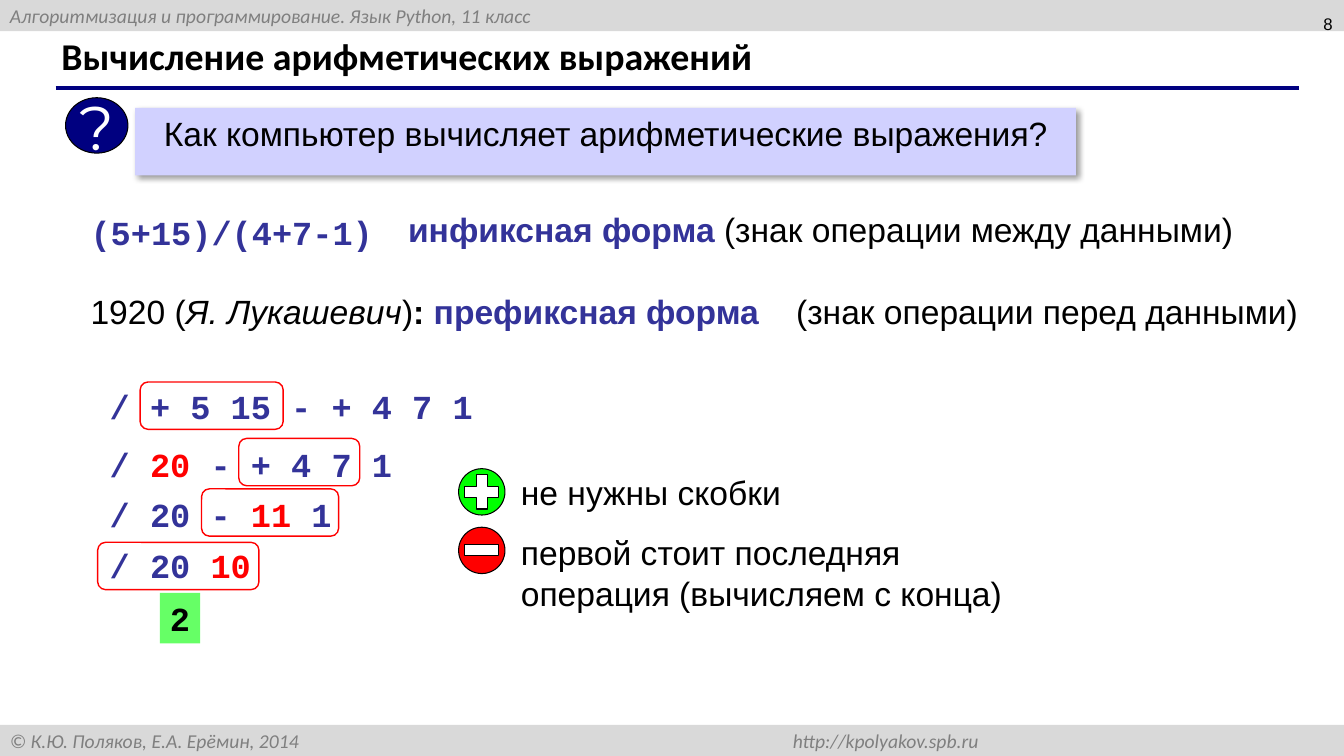
from lxml import etree
from pptx import Presentation
from pptx.dml.color import RGBColor
from pptx.enum.shapes import MSO_CONNECTOR, MSO_SHAPE as SHAPE
from pptx.enum.text import MSO_ANCHOR as ANCHOR, MSO_AUTO_SIZE, PP_ALIGN as ALIGN
from pptx.oxml import parse_xml
from pptx.oxml.ns import nsdecls, qn
from pptx.util import Pt

WIDTH, HEIGHT = 960, 540
COLORS = {
    "bar": "D9D9D9", "bar_text": "7F7F7F", "navy": "000080", "indigo": "333399",
    "lilac": "D1D1FF", "red": "FF0000", "green": "00FF00", "result": "66FF66",
    "black": "000000", "white": "FFFFFF",
}


def rgb(name):
    return RGBColor.from_string(COLORS[name])


def write(shape, runs, font="Arial", size=24, color="black", bold=False, italic=False,
          align=ALIGN.LEFT, anchor=ANCHOR.TOP, wrap=True, tab=None):
    """Fill a shape with one paragraph; runs are (text, {font overrides})."""
    frame = shape.text_frame
    frame.word_wrap = wrap
    frame.auto_size = MSO_AUTO_SIZE.NONE
    frame.vertical_anchor = anchor
    paragraph = frame.paragraphs[0]
    paragraph.alignment = align
    base = paragraph.font
    base.name, base.size, base.bold, base.italic = font, Pt(size), bold, italic
    base.color.rgb = rgb(color)
    if isinstance(runs, str):
        runs = [(runs, {})]
    for text, style in runs:
        run = paragraph.add_run()
        run.text = text
        if "color" in style:
            run.font.color.rgb = rgb(style["color"])
        if "bold" in style:
            run.font.bold = style["bold"]
        if "italic" in style:
            run.font.italic = style["italic"]
    if tab:
        position, side = tab
        stops = parse_xml(f'<a:tabLst {nsdecls("a")}>'
                          f'<a:tab pos="{Pt(position)}" algn="{side}"/></a:tabLst>')
        paragraph.font._element.addprevious(stops)
    return paragraph


def add_text(slide, left, top, width, height, runs, **style):
    box = slide.shapes.add_textbox(Pt(left), Pt(top), Pt(width), Pt(height))
    return write(box, runs, **style)


def add_figure(slide, kind, left, top, width, height, fill=None, line=None, weight=0.75):
    figure = slide.shapes.add_shape(kind, Pt(left), Pt(top), Pt(width), Pt(height))
    figure.shadow.inherit = False
    if fill:
        figure.fill.solid()
        figure.fill.fore_color.rgb = rgb(fill)
    else:
        figure.fill.background()
    if line:
        figure.line.color.rgb = rgb(line)
        figure.line.width = Pt(weight)
    else:
        figure.line.fill.background()
    return figure


def add_bars(slide):
    bar_height = 22.2
    bars = (
        (0, "Алгоритмизация и программирование. Язык Python, 11 класс"),
        (HEIGHT - bar_height, "© К.Ю. Поляков, Е.А. Ерёмин, 2014\thttp://kpolyakov.spb.ru"),
    )
    for top, caption in bars:
        bar = add_figure(slide, SHAPE.RECTANGLE, 0, top, WIDTH, bar_height, "bar")
        write(bar, caption, font="Calibri", size=14, color="bar_text", italic=True,
              anchor=ANCHOR.MIDDLE, tab=(692, "r"))


def add_heading(slide, left, top, width, height):
    title = slide.shapes.title
    title.left, title.top, title.width, title.height = map(Pt, (left, top, width, height))
    heading = write(title, "Вычисление арифметических выражений", font="Calibri", size=27,
                    bold=True, anchor=ANCHOR.MIDDLE)
    heading.line_spacing = 0.9
    # Rule under the title
    rule_top = top + height + 2.2
    rule = slide.shapes.add_connector(MSO_CONNECTOR.STRAIGHT, Pt(left + 3), Pt(rule_top),
                                      Pt(928), Pt(rule_top))
    rule.line.color.rgb = rgb("navy")
    rule.line.width = Pt(3)
    etree.SubElement(rule._element.spPr, qn("a:effectLst"))
    # Page number
    add_text(slide, 735, -1.5, 224, 37.5, "8", size=12, align=ALIGN.RIGHT,
             anchor=ANCHOR.MIDDLE)


def add_question(slide, left, top):
    panel = add_figure(slide, SHAPE.RECTANGLE, left + 49.7, top + 7.2, 672, 48.4, "lilac")
    panel.text_frame.margin_left = Pt(20.5)
    write(panel, "Как компьютер вычисляет арифметические выражения?")
    effects = panel._element.spPr.find(qn("a:effectLst"))
    effects.append(parse_xml(
        f'<a:outerShdw {nsdecls("a")} blurRad="{Pt(4)}" dist="{Pt(3)}" dir="2700000" '
        'algn="tl" rotWithShape="0"><a:srgbClr val="000000"><a:alpha val="40000"/>'
        '</a:srgbClr></a:outerShdw>'))
    badge = add_figure(slide, SHAPE.OVAL, left, top, 44.6, 39.6, "navy", "black")
    write(badge, "?", font="Montserrat", size=44, color="white", align=ALIGN.CENTER,
          anchor=ANCHOR.MIDDLE, wrap=False)


def add_forms(slide, left, top):
    term = {"color": "indigo", "bold": True}
    add_text(slide, left, top + 2.2, 232.6, 36, "(5+15)/(4+7-1)", font="Courier New",
             color="indigo", bold=True, wrap=False)
    add_text(slide, left + 226.8, top, 650, 36,
             [("инфиксная форма ", term), ("(знак операции между данными)", {})])
    add_text(slide, left, top + 59, 890, 36,
             [("1920 (", {}), ("Я. Лукашевич", {"italic": True}), (")", {}),
              (": ", {"bold": True}), ("префиксная форма", term),
              ("\t(знак операции перед данными)", {})],
             tab=(504, "l"))


def add_evaluation(slide, left, top):
    code = {"font": "Courier New", "bold": True, "wrap": False}
    fresh = {"color": "red"}
    # Row offset, expression, then left, offset and width of the frame
    steps = (
        (0, [("/ + 5 15 - + 4 7 1", {})], 28.8, 0.7, 102.2),
        (41, [("/ ", {}), ("20", fresh), (" - + 4 7 1", {})], 99.3, 41, 86.4),
        (77, [("/ 20 - ", {}), ("11", fresh), (" 1", {})], 72.7, 77, 97.9),
        (113.7, [("/ 20 ", {}), ("10", fresh)], -1.5, 115.2, 115.2),
    )
    for offset, expression, frame_left, frame_offset, frame_width in steps:
        add_text(slide, left, top + offset, 275, 36, expression, color="indigo", **code)
        add_figure(slide, SHAPE.ROUNDED_RECTANGLE, left + frame_left, top + frame_offset,
                   frame_width, 33.8, line="red", weight=1)
    result = add_figure(slide, SHAPE.RECTANGLE, left + 43, top + 151.2, 28.8, 36.2, "result")
    write(result, "2", **code)


def add_verdicts(slide, left, top):
    icon, sign, bar = 33.1, 24.5, 7.9
    verdicts = (
        (0, "green", SHAPE.CROSS, sign, -1.4, "не нужны скобки"),
        (41.8, "red", SHAPE.RECTANGLE, bar, 0,
         "первой стоит последняя операция (вычисляем с конца)"),
    )
    for offset, color, sign_kind, sign_height, text_shift, verdict in verdicts:
        row = top + offset
        add_figure(slide, SHAPE.OVAL, left, row, icon, icon, color, "black")
        mark = add_figure(slide, sign_kind, left + (icon - sign) / 2,
                          row + (icon - sign_height) / 2, sign, sign_height, "white", "black")
        if sign_kind == SHAPE.CROSS:
            mark.adjustments[0] = (1 - bar / sign) / 2
        add_text(slide, left + 37.4, row + text_shift, 378, 65.5, verdict)


def main():
    deck = Presentation()
    deck.slide_width, deck.slide_height = Pt(WIDTH), Pt(HEIGHT)
    slide = deck.slides.add_slide(deck.slide_layouts[5])
    add_bars(slide)
    add_heading(slide, 36.7, 23, 659.5, 37.4)
    add_question(slide, 46.8, 69.8)
    add_forms(slide, 57.6, 145.4)
    add_evaluation(slide, 71.3, 272.2)
    add_verdicts(slide, 327.6, 334.8)
    deck.save("out.pptx")


if __name__ == "__main__":
    main()
